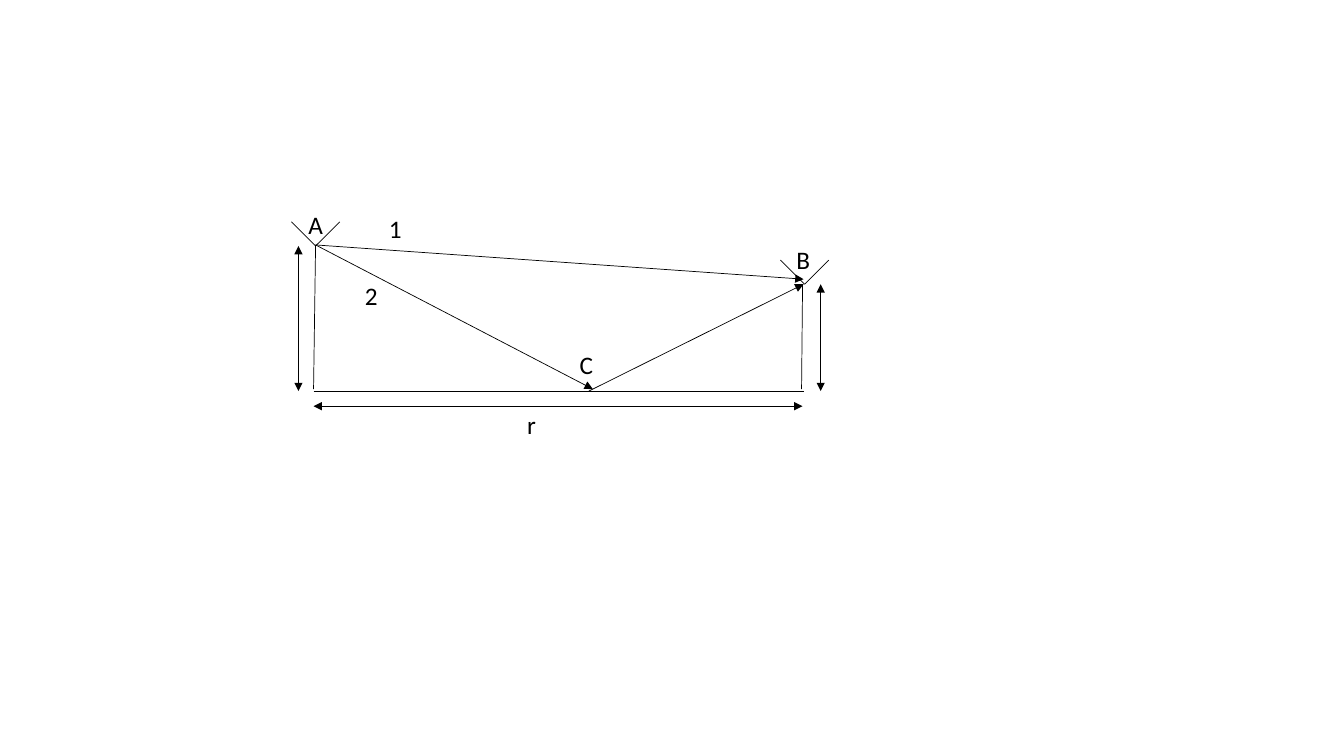
from lxml.etree import SubElement
from pptx import Presentation
from pptx.dml.color import RGBColor
from pptx.enum.shapes import MSO_CONNECTOR
from pptx.enum.text import MSO_AUTO_SIZE
from pptx.oxml.ns import qn
from pptx.util import Pt

PX = 9144
SLIDE = (1333, 750)
THEME = {"ink": RGBColor(0, 0, 0), "font": "Calibri", "size": Pt(18), "line": Pt(0.5)}

ARM = 24
GROUND = 388
ANTENNAS = [
    {"tip": (313, 244), "mast": [(313, 243), (311, 386)]},
    {"tip": (798, 282), "mast": [(796, 282), (795, 386)]},
]
RAYS = [
    [(313, 243), (588, 386)],
    [(584, GROUND), (797, 282)],
    [(313, 243), (797, 277)],
]
GROUND_LINE = [(311, GROUND), (797, GROUND)]
DIMENSIONS = [
    [(296, 244), (296, GROUND)],
    [(814, 282), (814, GROUND)],
    [(311, 403), (796, 403)],
]
LABEL_HEIGHT = 40
LABELS = [
    ("A", 296, 203, 35, False),
    ("B", 780, 237, 34, False),
    ("1", 376, 207, 33, False),
    ("2", 352, 273, 33, False),
    ("r", 513, 401, 29, False),
    ("C", 565, 342, 27, True),
]


def add_line(s, start, end, arrows=()):
    points = [v * PX for v in (*start, *end)]
    line = s.shapes.add_connector(MSO_CONNECTOR.STRAIGHT, *points)
    line.line.color.rgb = THEME["ink"]
    line.line.width = THEME["line"]
    ln = line.line._get_or_add_ln()
    for name in arrows:
        SubElement(ln, qn(f"a:{name}"), type="triangle")
    SubElement(line._element.spPr, qn("a:effectLst"))


def add_text(s, text, *, left, top, width, height, wrap):
    box = s.shapes.add_textbox(left * PX, top * PX, width * PX, height * PX)
    tf = box.text_frame
    tf.word_wrap = wrap
    tf.auto_size = MSO_AUTO_SIZE.SHAPE_TO_FIT_TEXT
    r = tf.paragraphs[0].add_run()
    r.text = text
    r.font.name = THEME["font"]
    r.font.size = THEME["size"]
    r.font.color.rgb = THEME["ink"]


def main():
    prs = Presentation()
    prs.slide_width, prs.slide_height = (v * PX for v in SLIDE)
    s = prs.slides.add_slide(prs.slide_layouts[6])

    for antenna in ANTENNAS:
        x, y = antenna["tip"]
        add_line(s, *antenna["mast"])
        for side in (1, -1):
            add_line(s, (x, y), (x + side * ARM, y - ARM))
    for ray in RAYS:
        add_line(s, *ray, arrows=["tailEnd"])
    add_line(s, *GROUND_LINE)
    for dimension in DIMENSIONS:
        add_line(s, *dimension, arrows=["headEnd", "tailEnd"])
    for text, left, top, width, wrap in LABELS:
        add_text(s, text, left=left, top=top, width=width, height=LABEL_HEIGHT, wrap=wrap)

    prs.save("out.pptx")


if __name__ == "__main__":
    main()
